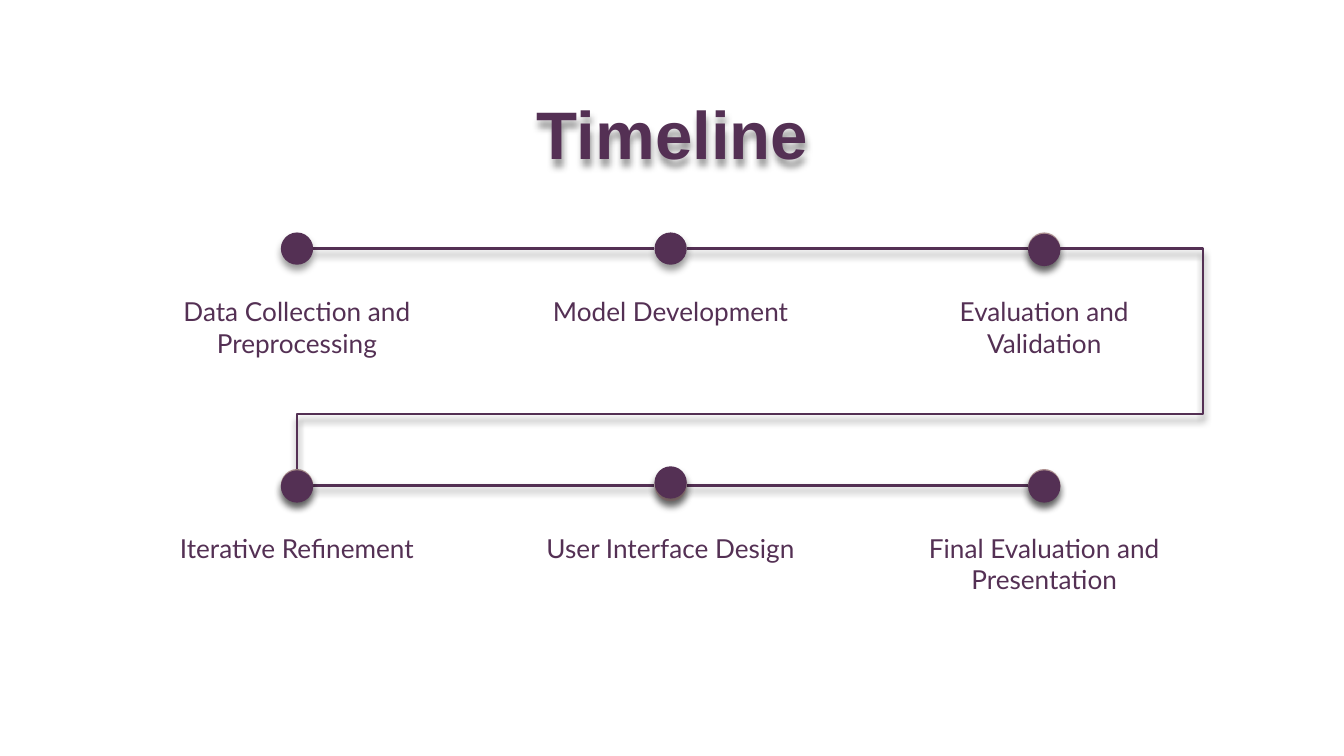
from lxml.etree import SubElement
from pptx import Presentation
from pptx.dml.color import RGBColor
from pptx.enum.shapes import MSO_CONNECTOR, MSO_SHAPE
from pptx.enum.text import MSO_ANCHOR, PP_ALIGN
from pptx.oxml.ns import qn
from pptx.util import Inches, Pt

COLORS = {"plum": "543054", "rose": "B09393", "shade": "000000"}
DOT = 0.24
PITCH = 2.78      # between columns
ROW = 1.76        # between rows
LABEL = (2.33, 0.88)
LEFT, TOP = 2.21, 1.85   # centre of the first dot

# Each stage: label, colours of its stacked dots, vertical shift of the top dot
ROWS = [
    [("Data Collection and Preprocessing", ["plum"], 0),
     ("Model Development", ["plum"], 0),
     ("Evaluation and Validation", ["rose", "plum"], 0.01)],
    [("Iterative Refinement", ["rose", "plum"], 0.01),
     ("User Interface Design", ["rose", "plum"], -0.02),
     ("Final Evaluation and Presentation", ["rose", "plum"], 0.01)],
]


def color(name):
    return RGBColor.from_string(COLORS[name])


def add_shadow(shape):
    """Soft shadow straight below; call after fill and line are set."""
    effects = SubElement(shape._element.spPr, qn("a:effectLst"))
    outer = SubElement(effects, qn("a:outerShdw"), blurRad=str(Pt(4)),
                       dist=str(Pt(3)), dir="5400000", algn="bl",
                       rotWithShape="0")
    shade = SubElement(outer, qn("a:srgbClr"), val=COLORS["shade"])
    SubElement(shade, qn("a:alpha"), val="40000")


def write(shape, text, font, size, bold, anchor):
    frame = shape.text_frame
    frame.text = text
    frame.word_wrap = True
    frame.vertical_anchor = anchor
    frame.margin_left = frame.margin_right = Inches(0.1)
    frame.margin_top = frame.margin_bottom = Inches(0.1)
    line = frame.paragraphs[0]
    line.alignment = PP_ALIGN.CENTER
    face = line.runs[0].font
    face.name, face.size, face.bold = font, Pt(size), bold
    face.color.rgb = color("plum")


def add_title(slide, x, y, w, h):
    title = slide.shapes.title
    title.left, title.top = Inches(x), Inches(y)
    title.width, title.height = Inches(w), Inches(h)
    write(title, "Timeline", "Arial", 36, True, MSO_ANCHOR.BOTTOM)
    add_shadow(title)


def add_line(slide, kind, start, end):
    line = slide.shapes.add_connector(
        kind, *(Inches(n) for n in (*start, *end)))
    line.line.color.rgb = color("plum")
    line.line.width = Pt(1.5)
    add_shadow(line)
    return line


def add_dot(slide, x, y, name):
    dot = slide.shapes.add_shape(
        MSO_SHAPE.OVAL, Inches(x - DOT / 2), Inches(y - DOT / 2),
        Inches(DOT), Inches(DOT))
    dot.fill.solid()
    dot.fill.fore_color.rgb = color(name)
    dot.line.fill.background()
    add_shadow(dot)


def add_row(slide, x, y, stages):
    """Labels, links and dots of one row, from the centre of its first dot."""
    w, h = LABEL
    spots = [x + i * PITCH for i in range(len(stages))]
    for spot, (text, _, _) in zip(spots, stages):
        box = slide.shapes.add_textbox(
            Inches(spot - w / 2), Inches(y + 0.25), Inches(w), Inches(h))
        write(box, text, "Lato", 14, False, MSO_ANCHOR.TOP)
    for a, b in zip(spots, spots[1:]):
        add_line(slide, MSO_CONNECTOR.STRAIGHT,
                 (a + DOT / 2, y), (b - DOT / 2, y))
    for spot, (_, names, _) in zip(spots, stages):
        add_dot(slide, spot, y, names[0])


def add_turn(slide, start, end):
    """Bent line that leads from the end of one row to the next."""
    turn = add_line(slide, MSO_CONNECTOR.ELBOW, start, end)
    shape = turn._element.spPr.find(qn("a:prstGeom"))
    shape.set("prst", "bentConnector4")
    guides = shape.find(qn("a:avLst"))
    for name, share in (("adj1", -18700), ("adj2", 75100)):
        SubElement(guides, qn("a:gd"), name=name, fmla=f"val {share}")


def add_tops(slide, x, y, stages):
    """Dark dots that lie over the pale ones."""
    for i, (_, names, shift) in enumerate(stages):
        for name in names[1:]:
            add_dot(slide, x + i * PITCH, y + shift, name)


def main():
    deck = Presentation()
    deck.slide_width = Inches(10)
    deck.slide_height = deck.slide_width * 9 // 16
    slide = deck.slides.add_slide(deck.slide_layouts[5])
    add_title(slide, 0.79, 0.59, 8.43, 0.8)
    for i, stages in enumerate(ROWS):
        add_row(slide, LEFT, TOP + i * ROW, stages)
    add_turn(slide, (LEFT + 2 * PITCH + DOT / 2, TOP),
             (LEFT, TOP + ROW - DOT / 2))
    for i, stages in enumerate(ROWS):
        add_tops(slide, LEFT, TOP + i * ROW, stages)
    deck.save("out.pptx")


if __name__ == "__main__":
    main()
